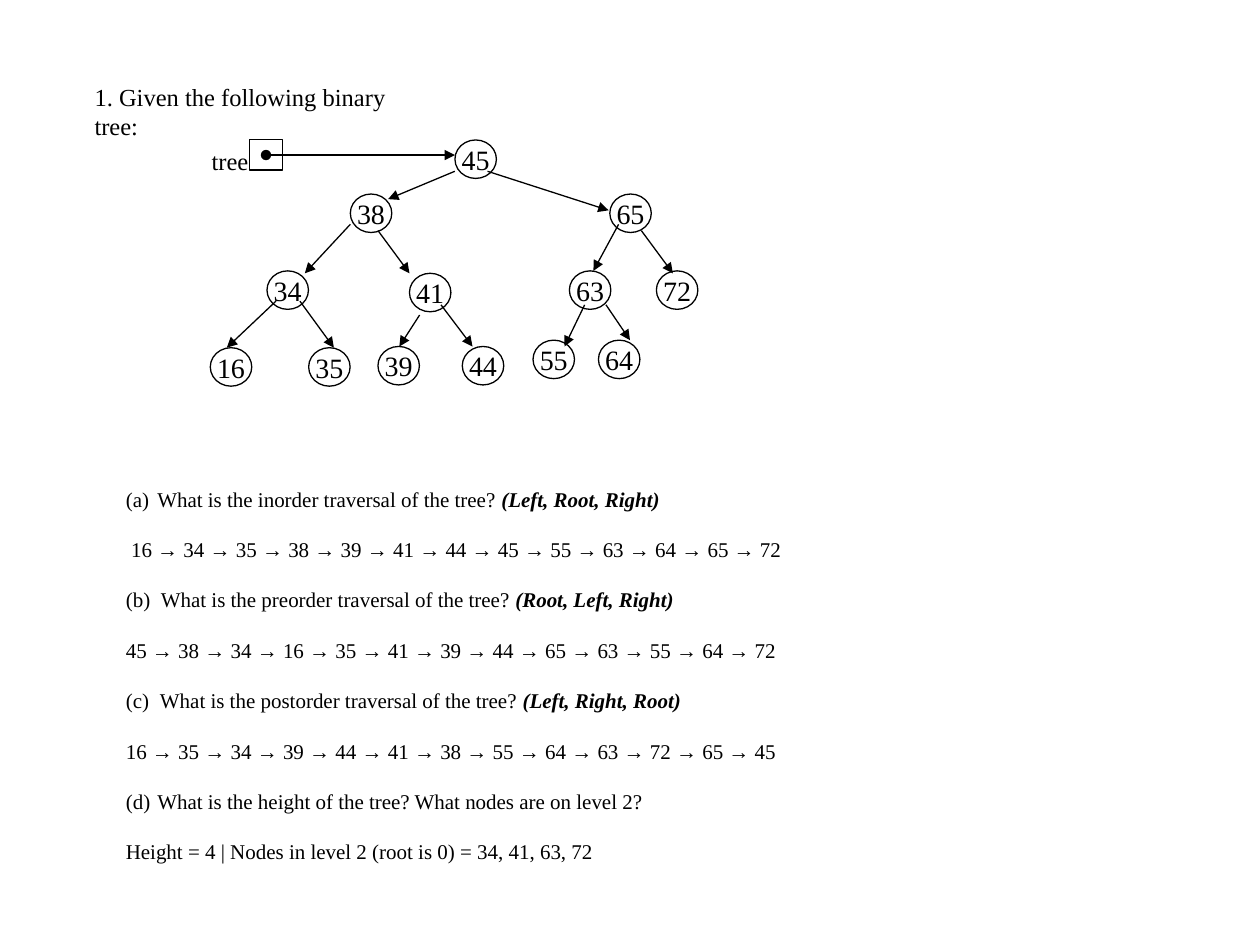
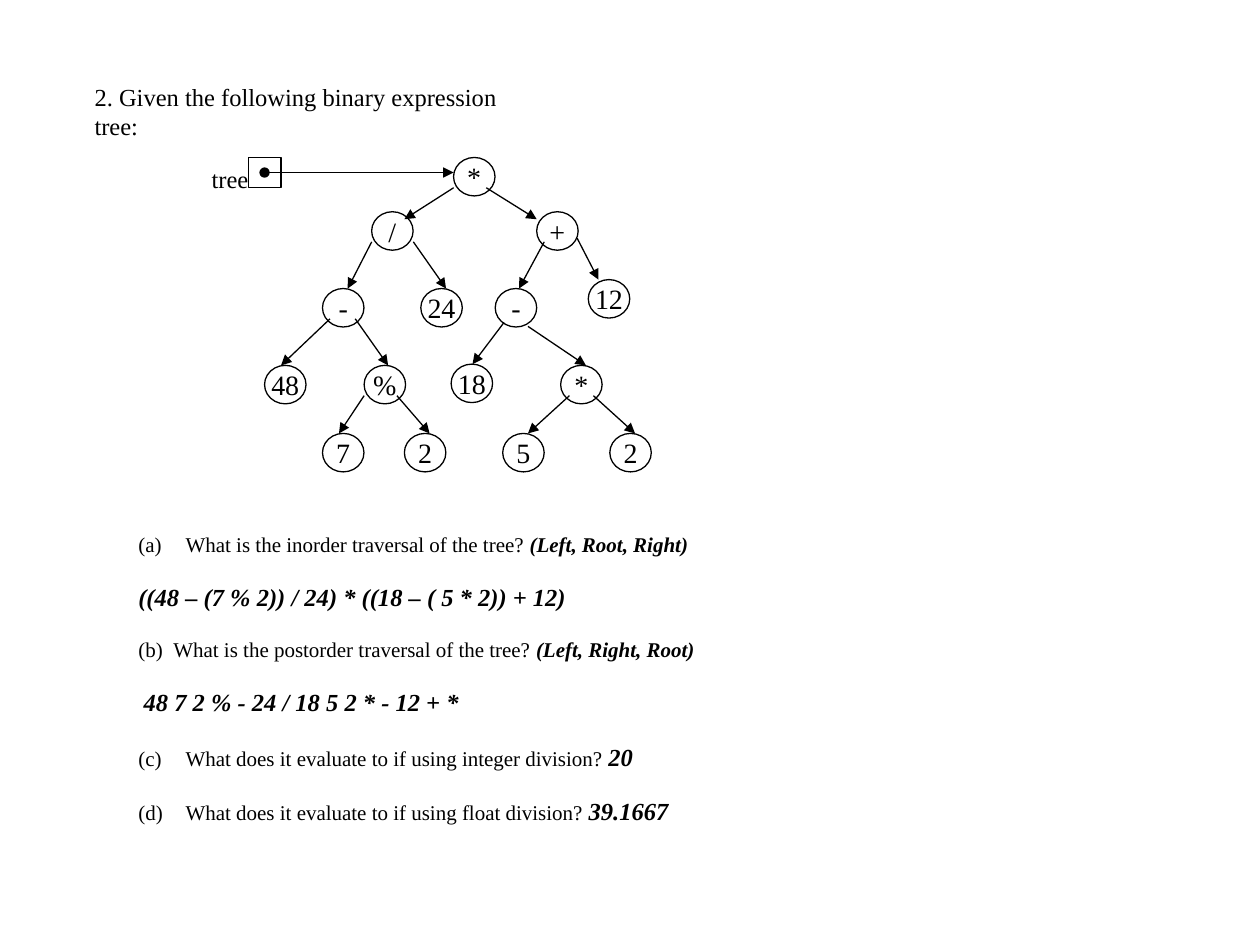
from dataclasses import dataclass

from lxml.etree import SubElement
from pptx import Presentation
from pptx.dml.color import RGBColor
from pptx.enum.shapes import MSO_CONNECTOR, MSO_SHAPE
from pptx.enum.text import MSO_ANCHOR, MSO_AUTO_SIZE, PP_ALIGN
from pptx.oxml.ns import qn
from pptx.util import Pt

# Shared style; all lengths are in points
FONT = "Times New Roman"
INK = "000000"
LINE_WIDTH = 0.75
LEADING = 1.2
BODY_SIZE, LARGE_SIZE, NODE_SIZE = 12, 14, 16
PARAGRAPH_GAP = BODY_SIZE * LEADING
NODE_WIDTH, NODE_HEIGHT = 23.7, 22
POINTER_WIDTH, POINTER_HEIGHT = 18.7, 17.3


@dataclass
class Node:
    """A tree node and the arrow that leads to it."""
    label: str
    left: float
    top: float
    arrow_from: tuple[float, float]
    arrow_to: tuple[float, float]


@dataclass
class Span:
    text: str
    strong: bool = False
    size: float = BODY_SIZE


@dataclass
class Line:
    """A line of the exercise; number 0 means an unnumbered answer."""
    spans: list[Span]
    number: int = 0
    indent: float = 0


@dataclass
class Exercise:
    title: str
    title_width: float
    nodes: list[Node]
    body_box: tuple[float, float, float, float]
    lines: list[Line]


def color(value: str) -> RGBColor:
    return RGBColor.from_string(value)


def style_paragraph(para, size: float) -> None:
    para.line_spacing = Pt(round(size * LEADING, 1))
    for span in para.runs:
        span.font.name = FONT
        span.font.size = Pt(size)
        span.font.color.rgb = color(INK)


def place(shape, left: float, top: float, width: float, height: float) -> None:
    shape.left, shape.top = Pt(left), Pt(top)
    shape.width, shape.height = Pt(width), Pt(height)


def add_title(page, text: str, width: float) -> None:
    title = page.shapes.title
    place(title, 46.8, 43.2, width, 41.2)
    frame = title.text_frame
    frame.text = text
    frame.word_wrap = True
    frame.auto_size = MSO_AUTO_SIZE.NONE
    frame.vertical_anchor = MSO_ANCHOR.TOP
    para = frame.paragraphs[0]
    para.alignment = PP_ALIGN.LEFT
    para.space_before = Pt(0)
    style_paragraph(para, LARGE_SIZE)


def add_outline(page, kind, left: float, top: float, width: float, height: float):
    shape = page.shapes.add_shape(kind, Pt(left), Pt(top), Pt(width), Pt(height))
    shape.shadow.inherit = False
    shape.fill.background()
    shape.line.color.rgb = color(INK)
    shape.line.width = Pt(LINE_WIDTH)
    return shape


def add_node(page, node: Node) -> None:
    circle = add_outline(page, MSO_SHAPE.OVAL, node.left, node.top,
                         NODE_WIDTH, NODE_HEIGHT)
    frame = circle.text_frame
    frame.text = node.label
    frame.word_wrap = False
    frame.vertical_anchor = MSO_ANCHOR.MIDDLE
    frame.paragraphs[0].alignment = PP_ALIGN.CENTER
    style_paragraph(frame.paragraphs[0], NODE_SIZE)


def add_arrow(page, node: Node, dotted_start: bool) -> None:
    start, end = node.arrow_from, node.arrow_to
    arrow = page.shapes.add_connector(MSO_CONNECTOR.STRAIGHT, Pt(start[0]),
                                      Pt(start[1]), Pt(end[0]), Pt(end[1]))
    arrow.line.color.rgb = color(INK)
    arrow.line.width = Pt(LINE_WIDTH)
    properties = arrow.element.spPr
    outline = properties.find(qn("a:ln"))
    if dotted_start:
        SubElement(outline, qn("a:headEnd"), type="oval")
    SubElement(outline, qn("a:tailEnd"), type="triangle")
    SubElement(properties, qn("a:effectLst"))


def add_pointer(page, root: Node) -> None:
    """Draw the labelled box in which the arrow to the root starts."""
    x, y = root.arrow_from
    top = y - POINTER_HEIGHT / 2
    add_outline(page, MSO_SHAPE.RECTANGLE, x - POINTER_WIDTH / 2, top,
                POINTER_WIDTH, POINTER_HEIGHT)
    label = page.shapes.add_textbox(Pt(113.8), Pt(top), Pt(35.3), Pt(23.8))
    label.text_frame.text = "tree"
    label.text_frame.word_wrap = False
    style_paragraph(label.text_frame.paragraphs[0], LARGE_SIZE)


def add_tree(page, nodes: list[Node]) -> None:
    add_pointer(page, nodes[0])
    for node in nodes:
        add_node(page, node)
    for node in nodes:
        add_arrow(page, node, dotted_start=node is nodes[0])


def add_line(para, line: Line) -> None:
    for part in line.spans:
        span = para.add_run()
        span.text = part.text
    style_paragraph(para, max(part.size for part in line.spans))
    para.space_after = Pt(PARAGRAPH_GAP)
    for span, part in zip(para.runs, line.spans):
        span.font.size = Pt(part.size)
        span.font.bold = span.font.italic = part.strong
    properties = para._p.get_or_add_pPr()
    properties.set("marL", str(Pt(line.indent)))
    if line.number:
        properties.set("indent", str(-Pt(line.indent)))
        SubElement(properties, qn("a:buAutoNum"), type="alphaLcParenBoth",
                   startAt=str(line.number))


def add_body(page, box: tuple[float, float, float, float], lines: list[Line]) -> None:
    body = page.shapes.add_textbox(*(Pt(length) for length in box))
    frame = body.text_frame
    frame.word_wrap = True
    for index, line in enumerate(lines):
        para = frame.add_paragraph() if index else frame.paragraphs[0]
        add_line(para, line)


def question(number: int, indent: float, text: str, hint: str = "",
             hint_size: float = BODY_SIZE) -> Line:
    spans = [Span(f"{text} " if hint else text)]
    if hint:
        spans.append(Span(hint, True, hint_size))
    return Line(spans, number, indent)


def answer(text: str, strong: bool = False, indent: float = 0) -> Line:
    return Line([Span(text, strong, LARGE_SIZE if strong else BODY_SIZE)], indent=indent)


def walk(values: str) -> str:
    return " → ".join(values.split())


# Wording shared by both exercises
ASK = "What is the {} traversal of the tree?"
EVALUATE = "What does it evaluate to if using {} division?"
INORDER, PREORDER, POSTORDER = (
    "(Left, Root, Right)", "(Root, Left, Right)", "(Left, Right, Root)")

SEARCH_TREE = Exercise(
    "1. Given the following binary tree:", 200,
    [
        Node("45", 260, 80, (152, 88.6), (260, 88.6)),
        Node("38", 200.2, 110.9, (259.9, 97.9), (221.8, 113.8)),
        Node("65", 348.5, 110.9, (278.6, 97.9), (347.8, 120.2)),
        Node("34", 152.6, 154.8, (200.2, 128.2), (174.2, 156.2)),
        Node("41", 234, 156.2, (216, 131.8), (234, 156.2)),
        Node("63", 325.4, 154.8, (353.5, 128.2), (339.1, 154.8)),
        Node("72", 375.1, 154.8, (366.5, 131.8), (384.5, 156.2)),
        Node("16", 120.2, 198.7, (157.7, 172.1), (129.6, 198.7)),
        Node("35", 176.4, 198.7, (171.4, 172.1), (190.8, 198.7)),
        Node("39", 216, 198, (239.8, 180), (228.2, 198)),
        Node("44", 264.2, 198, (252, 174.2), (270, 198)),
        Node("55", 304.6, 194.4, (334.1, 174.2), (322.6, 198)),
        Node("64", 342, 194.4, (346.3, 174.2), (360, 194.4)),
    ],
    (64.8, 274.3, 577.4, 239.8),
    [
        question(1, 18, ASK.format("inorder"), INORDER),
        answer(walk("16 34 35 38 39 41 44 45 55 63 64 65 72"), indent=3),
        question(2, 20, ASK.format("preorder"), PREORDER),
        answer(walk("45 38 34 16 35 41 39 44 65 63 55 64 72")),
        question(3, 19.5, ASK.format("postorder"), POSTORDER),
        answer(walk("16 35 34 39 44 41 38 55 64 63 72 65 45")),
        question(4, 18, "What is the height of the tree? What nodes are on level 2?"),
        answer("Height = 4 | Nodes in level 2 (root is 0) = 34, 41, 63, 72"),
    ],
)

EXPRESSION_TREE = Exercise(
    "2. Given the following binary expression tree:", 264,
    [
        Node("*", 259.2, 90, (151.2, 98.6), (259.2, 98.6)),
        Node("/", 212.4, 121, (259.2, 107.3), (231.1, 125.3)),
        Node("+", 306.7, 121, (277.9, 107.3), (306.7, 125.3)),
        Node("-", 184.3, 164.9, (212.4, 138.2), (198.7, 164.9)),
        Node("24", 240.5, 164.9, (236.2, 138.2), (254.9, 164.9)),
        Node("-", 283, 164.9, (311, 138.2), (296.6, 164.9)),
        Node("12", 336.2, 159.8, (329.8, 136.1), (342, 159.8)),
        Node("48", 151.2, 208.8, (188.6, 182.2), (160.6, 208.8)),
        Node("%", 208.1, 208.8, (203, 182.2), (221.8, 208.8)),
        Node("18", 257.8, 208.1, (288, 184.3), (270, 208.1)),
        Node("*", 320.4, 208.8, (301.7, 186.5), (334.8, 208.8)),
        Node("7", 184.3, 247.7, (208.1, 226.1), (193.7, 247.7)),
        Node("2", 231.1, 247.7, (226.8, 226.1), (245.5, 247.7)),
        Node("5", 287.3, 247.7, (325.4, 226.1), (301.7, 247.7)),
        Node("2", 348.5, 247.7, (339.1, 226.1), (362.9, 247.7)),
    ],
    (72, 300.2, 455.8, 205.9),
    [
        question(1, 27, ASK.format("inorder"), INORDER),
        answer("((48 – (7 % 2)) / 24) * ((18 – ( 5 * 2)) + 12)", strong=True),
        question(2, 20, ASK.format("postorder"), POSTORDER),
        answer("48 7 2 % - 24 / 18 5 2 * - 12 + *", strong=True, indent=3),
        question(3, 27, EVALUATE.format("integer"), "20", LARGE_SIZE),
        question(4, 27, EVALUATE.format("float"), "39.1667", LARGE_SIZE),
    ],
)

# Build the deck
deck = Presentation()
deck.slide_width, deck.slide_height = Pt(720), Pt(540)
title_only = deck.slide_layouts[5]
for exercise in (SEARCH_TREE, EXPRESSION_TREE):
    page = deck.slides.add_slide(title_only)
    add_title(page, exercise.title, exercise.title_width)
    add_body(page, exercise.body_box, exercise.lines)
    add_tree(page, exercise.nodes)
deck.save("out.pptx")
